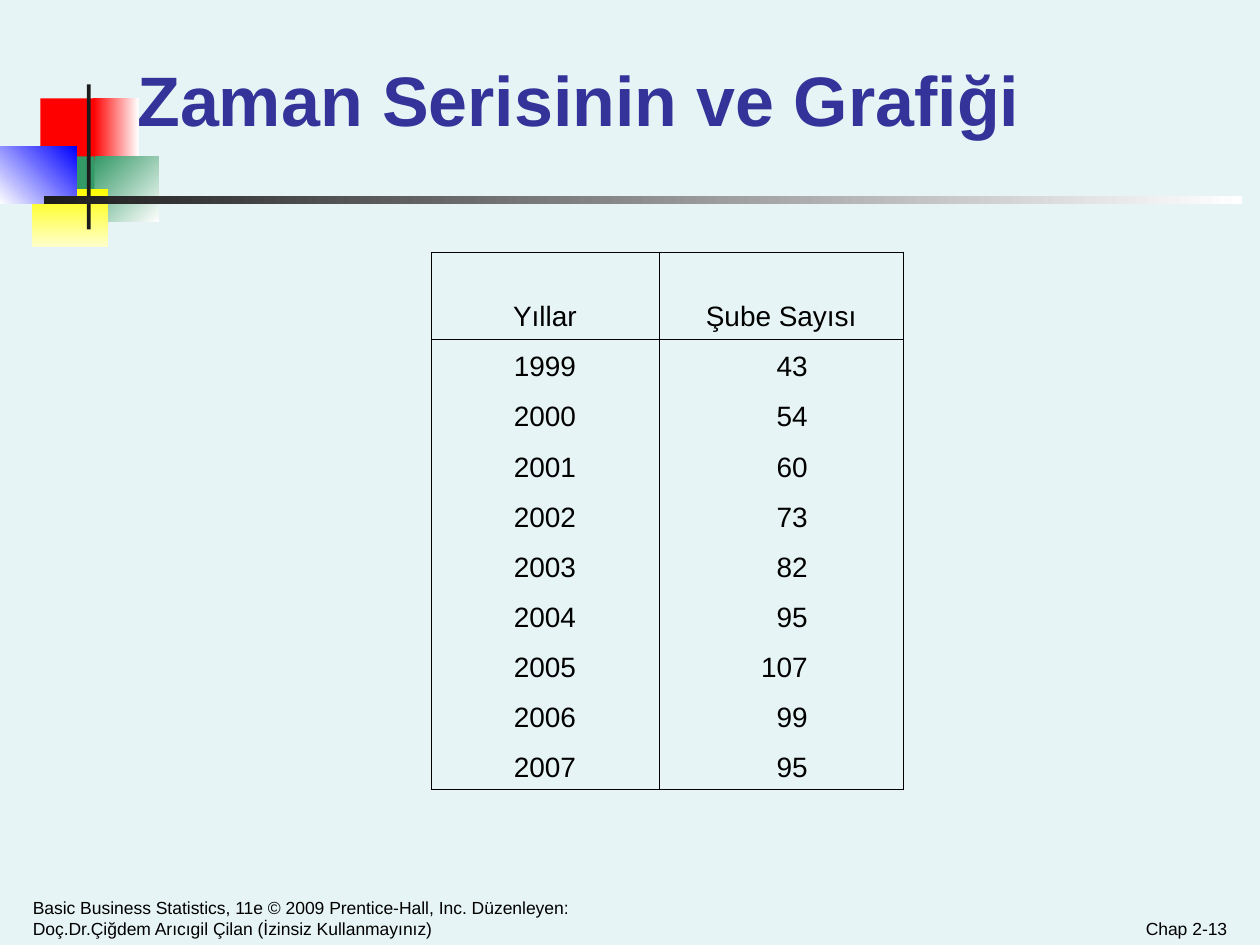
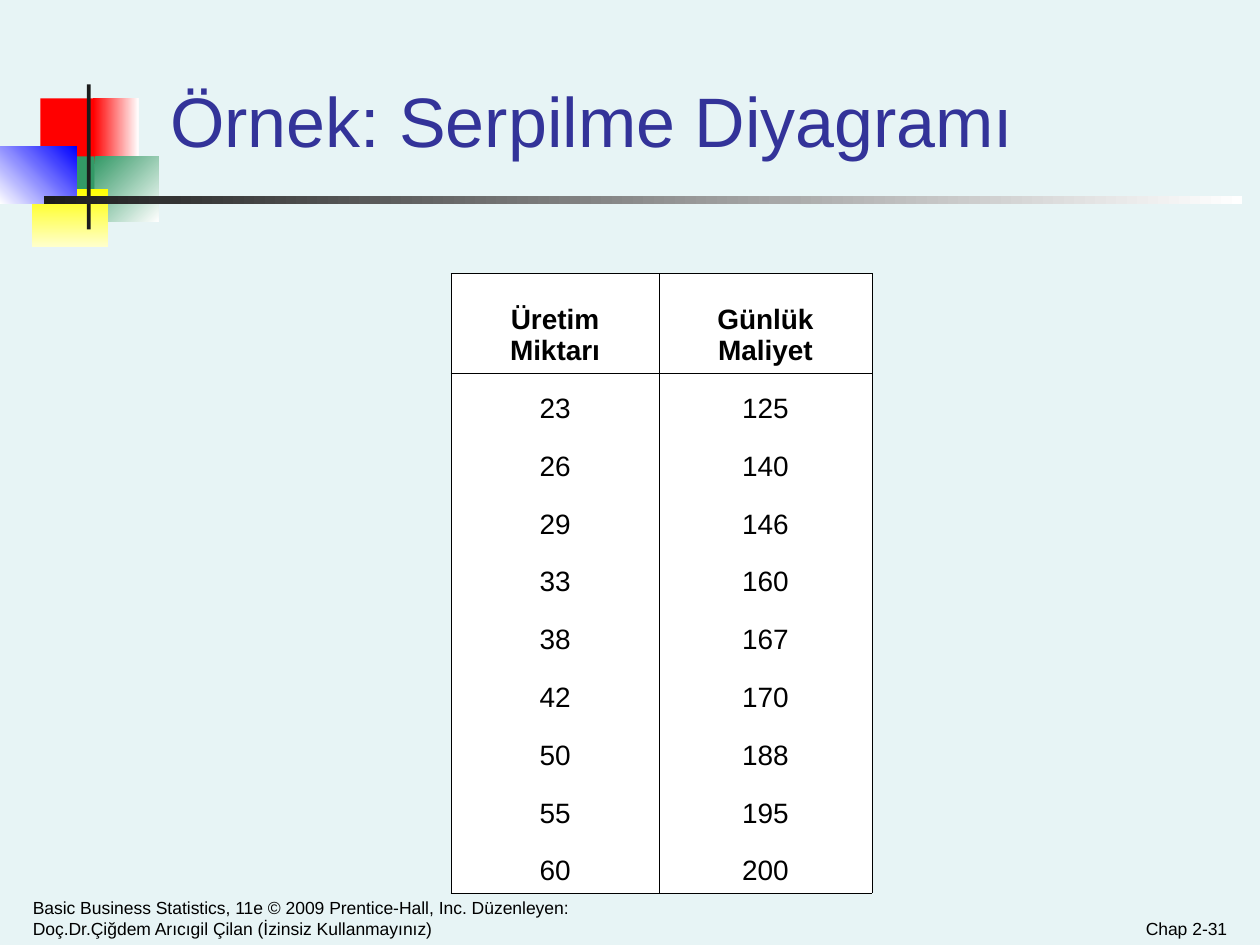
from dataclasses import dataclass
from typing import NamedTuple

from lxml.etree import SubElement
from pptx import Presentation
from pptx.dml.color import RGBColor
from pptx.enum.shapes import MSO_SHAPE
from pptx.enum.text import MSO_ANCHOR, MSO_AUTO_SIZE, PP_ALIGN
from pptx.oxml.ns import qn
from pptx.util import Inches, Pt


@dataclass(frozen=True)
class Theme:
    font: str = "Arial"
    background: str = "E7F4F5"
    title: str = "333399"
    text: str = "000000"
    white: str = "FFFFFF"
    red: str = "FF0000"
    green: str = "339966"
    yellow: str = "FFFF00"
    pale_yellow: str = "FFFFCC"
    blue: str = "0000FF"
    charcoal: str = "1C1C1C"
    title_size: float = 40
    table_size: float = 16
    footer_size: float = 10
    border_width: float = 0.45


THEME = Theme()
NO_TABLE_STYLE = "{2D5ABB26-0587-4C30-8999-92F81FD0307C}"
FOOTER = ("Basic Business Statistics, 11e © 2009 Prentice-Hall, Inc. Düzenleyen: "
          "Doç.Dr.Çiğdem Arıcıgil Çilan (İzinsiz Kullanmayınız)")


class Area(NamedTuple):
    left: float
    top: float
    width: float
    height: float

    def lengths(self) -> list:
        return [Inches(value) for value in self]


class Block(NamedTuple):
    """Decorative rectangle; a second colour makes a gradient (clockwise angle)."""
    area: Area
    color: str
    end_color: str = ""
    angle: float = 0


@dataclass
class DataTable:
    area: Area
    column_widths: tuple
    header_height: float
    rows: list
    fill: str = ""
    bold_header: bool = False
    number_inset: float = 0  # right-aligns the last column at this inset


@dataclass
class Page:
    title: str
    title_area: Area
    number: str
    table: DataTable
    title_bold: bool = False
    title_spacing: float = 1.0


BLOCKS = [
    Block(Area(0.32, 0.78, 0.48, 0.52), THEME.red),
    Block(Area(0.74, 0.78, 0.36, 0.52), THEME.red, THEME.white),
    Block(Area(0.75, 1.24, 0.51, 0.52), THEME.green, THEME.white, 45),
    Block(Area(0.43, 1.24, 0.32, 0.52), THEME.green),
    Block(Area(0.25, 1.5, 0.61, 0.46), THEME.yellow, THEME.pale_yellow, 90),
    Block(Area(0, 1.16, 0.61, 0.46), THEME.white, THEME.blue, 315),
    Block(Area(0.69, 0.67, 0.03, 1.15), THEME.charcoal),
    Block(Area(0.35, 1.56, 9.51, 0.06), THEME.charcoal, THEME.white),
]

PAGES = [
    Page("Zaman Serisinin ve Grafiği", Area(1, 0.33, 8.52, 0.83), "Chap 2-13",
         DataTable(Area(3.42, 2, 3.75, 4.27), (1.81, 1.94), 0.69,
                   [("Yıllar", "Şube Sayısı"), (1999, 43), (2000, 54), (2001, 60),
                    (2002, 73), (2003, 82), (2004, 95), (2005, 107), (2006, 99),
                    (2007, 95)],
                   number_inset=0.76),
         title_bold=True, title_spacing=0.8),
    Page("Örnek: Serpilme Diyagramı", Area(1.26, 0.25, 8.07, 1.08), "Chap 2-31",
         DataTable(Area(3.58, 2.17, 3.33, 4.92), (1.65, 1.69), 0.79,
                   [("Üretim Miktarı", "Günlük Maliyet"), (23, 125), (26, 140),
                    (29, 146), (33, 160), (38, 167), (42, 170), (50, 188),
                    (55, 195), (60, 200)],
                   fill=THEME.white, bold_header=True)),
]


def write(frame, text: str, size: float, color: str = THEME.text,
          align=PP_ALIGN.LEFT, bold: bool = False) -> None:
    frame.text = text
    para = frame.paragraphs[0]
    para.alignment = align
    for span in para.runs:
        span.font.name = THEME.font
        span.font.size = Pt(size)
        span.font.bold = bold
        span.font.color.rgb = RGBColor.from_string(color)


def anchor_bottom(frame) -> None:
    frame.word_wrap = True
    frame.auto_size = MSO_AUTO_SIZE.NONE
    frame.vertical_anchor = MSO_ANCHOR.BOTTOM
    frame.margin_left = frame.margin_right = Inches(0.09)
    frame.margin_top = frame.margin_bottom = Inches(0.05)


def add_block(slide, block: Block) -> None:
    shape = slide.shapes.add_shape(MSO_SHAPE.RECTANGLE, *block.area.lengths())
    shape.shadow.inherit = False
    shape.line.fill.background()
    if block.end_color:
        shape.fill.gradient()
        shape.fill.gradient_angle = (360 - block.angle) % 360
        for stop, color in zip(shape.fill.gradient_stops, (block.color, block.end_color)):
            stop.color.rgb = RGBColor.from_string(color)
    else:
        shape.fill.solid()
        shape.fill.fore_color.rgb = RGBColor.from_string(block.color)


def add_footer(slide, area: Area, text: str, align) -> None:
    box = slide.shapes.add_textbox(*area.lengths())
    anchor_bottom(box.text_frame)
    write(box.text_frame, text, THEME.footer_size, align=align)


def set_title(slide, page: Page) -> None:
    title = slide.shapes.title
    title.left, title.top, title.width, title.height = page.title_area.lengths()
    anchor_bottom(title.text_frame)
    write(title.text_frame, page.title, THEME.title_size, THEME.title, bold=page.title_bold)
    title.text_frame.paragraphs[0].line_spacing = page.title_spacing
    slide.shapes.element.append(title.element)  # in front of the blocks


def add_borders(cell_element, sides: str) -> None:
    properties = cell_element.get_or_add_tcPr()
    for position, side in enumerate("LRTB"):
        line = SubElement(properties, qn(f"a:ln{side}"), w=str(Pt(THEME.border_width)))
        properties.insert(position, line)
        if side in sides:
            fill = SubElement(line, qn("a:solidFill"))
            SubElement(fill, qn("a:srgbClr"), val=THEME.text)
        else:
            SubElement(line, qn("a:noFill"))


def add_data_table(slide, data: DataTable) -> None:
    row_count, column_count = len(data.rows), len(data.column_widths)
    frame = slide.shapes.add_table(row_count, column_count, *data.area.lengths())
    table = frame.table
    table.first_row = table.horz_banding = False
    next(frame.element.iter(qn("a:tableStyleId"))).text = NO_TABLE_STYLE

    # Column widths and evenly shared row heights
    for column, width in zip(table.columns, data.column_widths):
        column.width = Inches(width)
    body_height = (data.area.height - data.header_height) / (row_count - 1)
    for index, row in enumerate(table.rows):
        row.height = Inches(body_height if index else data.header_height)

    # Cell text and fill
    for row_index, values in enumerate(data.rows):
        for column_index, value in enumerate(values):
            cell = table.cell(row_index, column_index)
            cell.vertical_anchor = MSO_ANCHOR.BOTTOM
            align = PP_ALIGN.CENTER
            if data.number_inset and row_index and column_index:
                align = PP_ALIGN.RIGHT
                cell.margin_right = Inches(data.number_inset)
            write(cell.text_frame, str(value), THEME.table_size, align=align,
                  bold=data.bold_header and row_index == 0)
            if data.fill:
                cell.fill.solid()
                cell.fill.fore_color.rgb = RGBColor.from_string(data.fill)
            else:
                cell.fill.background()

    # Box around the header and around the body, with column rules
    for index, cell_element in enumerate(frame.element.iter(qn("a:tc"))):
        row_index = index // column_count
        top = "T" if row_index <= 1 else ""
        bottom = "B" if row_index in (0, row_count - 1) else ""
        add_borders(cell_element, "LR" + top + bottom)


def build_page(deck, page: Page) -> None:
    slide = deck.slides.add_slide(deck.slide_layouts.get_by_name("Title Only"))
    for block in BLOCKS:
        add_block(slide, block)
    add_footer(slide, Area(0.17, 7.15, 5.08, 0.35), FOOTER, PP_ALIGN.LEFT)
    add_footer(slide, Area(7.5, 7.15, 2.33, 0.35), page.number, PP_ALIGN.RIGHT)
    set_title(slide, page)
    add_data_table(slide, page.table)


def main() -> None:
    deck = Presentation()
    deck.slide_width, deck.slide_height = Inches(10), Inches(7.5)
    background = deck.slide_master.background.fill
    background.solid()
    background.fore_color.rgb = RGBColor.from_string(THEME.background)
    for page in PAGES:
        build_page(deck, page)
    deck.save("out.pptx")


if __name__ == "__main__":
    main()
